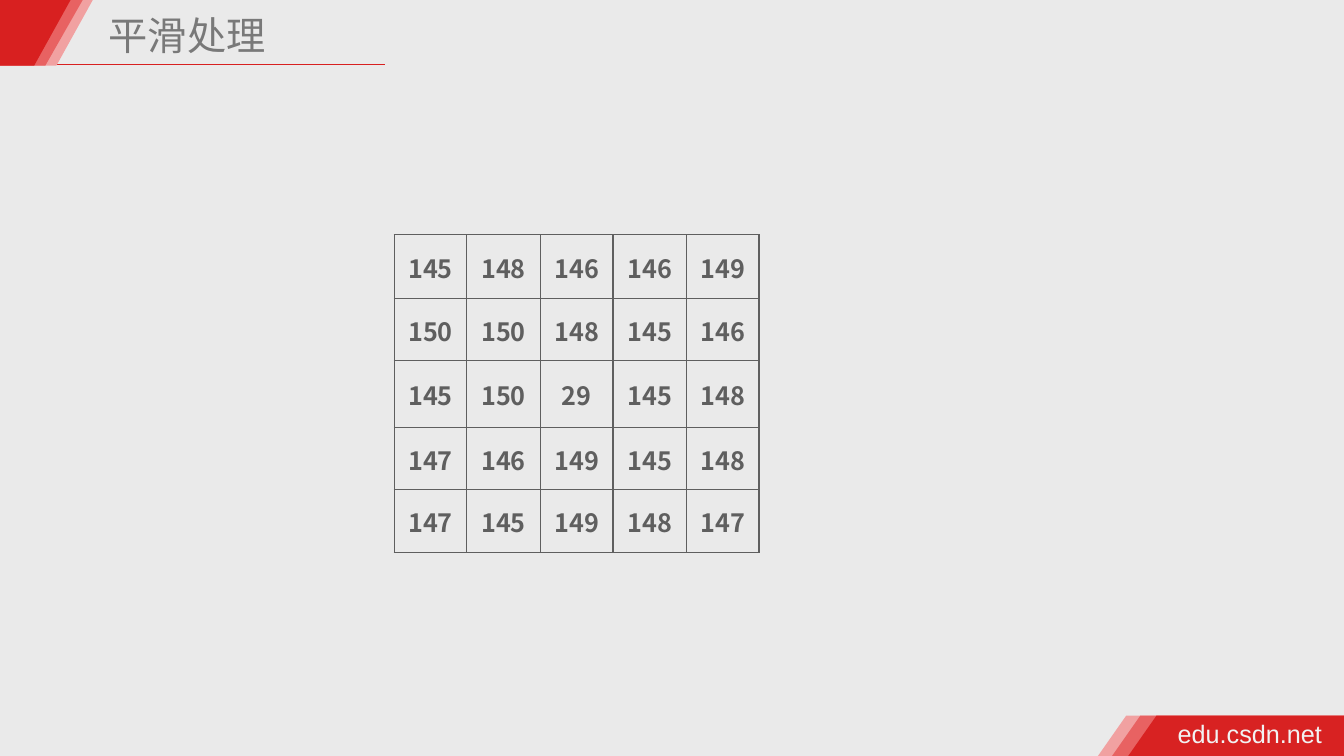
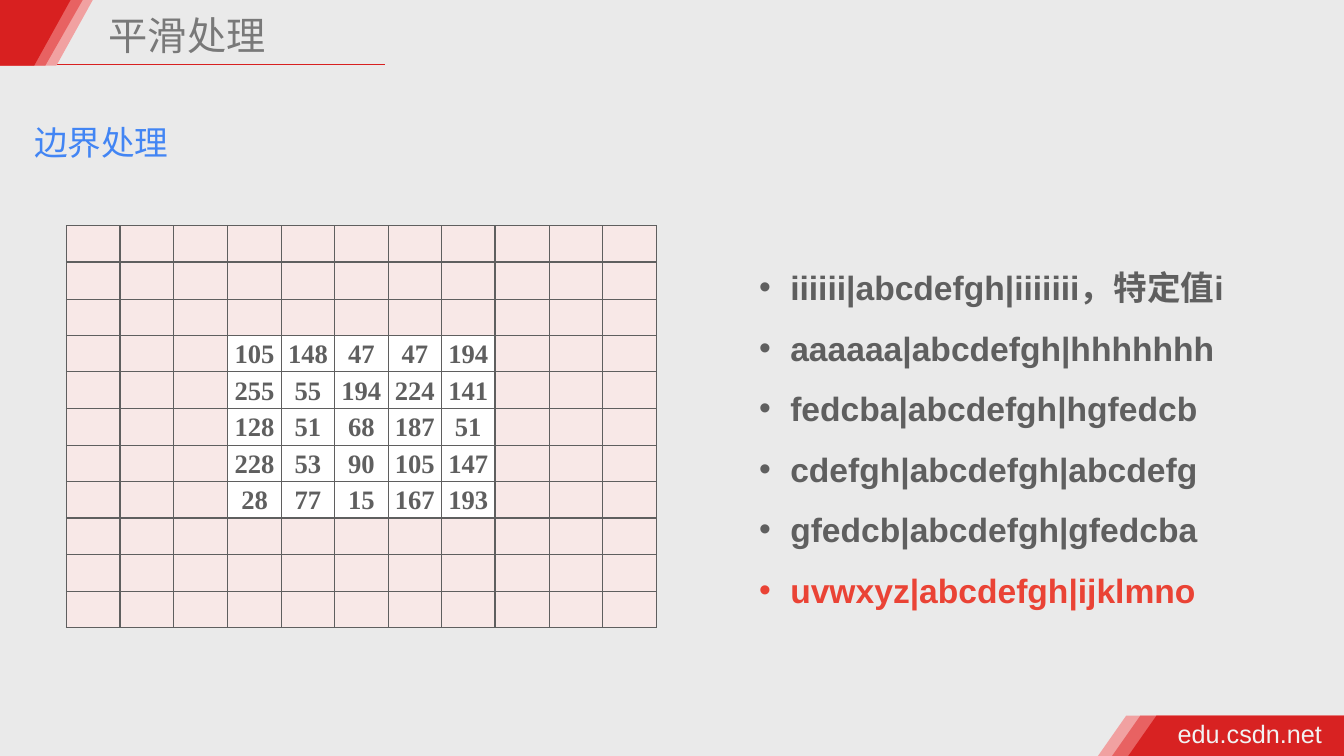
from dataclasses import dataclass

from lxml import etree
from pptx import Presentation
from pptx.dml.color import RGBColor
from pptx.enum.shapes import MSO_CONNECTOR
from pptx.enum.text import MSO_ANCHOR, MSO_AUTO_SIZE, PP_ALIGN
from pptx.oxml.ns import qn
from pptx.slide import Slide
from pptx.util import Emu, Pt

STRAIGHT = MSO_CONNECTOR.STRAIGHT
MIDDLE = MSO_ANCHOR.MIDDLE
FIT_TEXT = MSO_AUTO_SIZE.SHAPE_TO_FIT_TEXT
CENTER = PP_ALIGN.CENTER

EMU_PER_PX = 9144  # 100 px to the inch
SLIDE_WIDTH, SLIDE_HEIGHT = 1333, 750


@dataclass(frozen=True)
class Theme:
    background: str = "EAEAEA"
    red: str = "D82020"
    coral: str = "E86262"
    pink: str = "F1A1A1"
    title: str = "797979"
    body: str = "5F5F5F"
    footer: str = "F2F2F2"
    heading: str = "4285F4"
    highlight: str = "EA4335"
    padding: str = "F8E8E7"
    pixel: str = "FFFFFF"
    cjk_font: str = "Noto Sans CJK SC"
    latin_font: str = "Arial"
    number_font: str = "Times New Roman"
    title_size: int = 28
    body_size: int = 24
    small_size: int = 18
    number_size: int = 19
    line_width: int = 1


THEME = Theme()


@dataclass(frozen=True)
class TextStyle:
    size: int
    color: str
    font: str = THEME.cjk_font
    bold: bool = False


@dataclass(frozen=True)
class Box:
    left: int
    top: int
    width: int
    height: int


@dataclass(frozen=True)
class Band:
    """A slanted band; top and bottom are the x positions of its slanted edge."""
    color: str
    top: int
    bottom: int
    opacity: int = 100


@dataclass(frozen=True)
class Line:
    text: str
    style: TextStyle
    bullet: bool = False


@dataclass(frozen=True)
class Grid:
    box: Box
    rows: list[list[str]]
    row_heights: list[int]
    style: TextStyle
    inset: int
    value_fill: str | None = None
    empty_fill: str | None = None


TITLE_STYLE = TextStyle(THEME.title_size, THEME.title)
FOOTER_STYLE = TextStyle(THEME.small_size, THEME.footer, THEME.latin_font)
HEADING_STYLE = TextStyle(THEME.body_size, THEME.heading)
BULLET_STYLE = TextStyle(THEME.body_size, THEME.body, THEME.latin_font, True)
HIGHLIGHT_STYLE = TextStyle(THEME.body_size, THEME.highlight, THEME.latin_font, True)
SAMPLE_STYLE = TextStyle(THEME.small_size, THEME.body, bold=True)
NUMBER_STYLE = TextStyle(THEME.number_size, THEME.body, THEME.number_font, True)

HEADER_HEIGHT, FOOTER_TOP = 65, 710
HEADER_BANDS = [
    Band(THEME.pink, 92, 56),
    Band(THEME.coral, 82, 45),
    Band(THEME.red, 70, 34),
]
FOOTER_BANDS = [
    Band(THEME.pink, 1117, 1089),
    Band(THEME.coral, 1131, 1103),
    Band(THEME.red, 1147, 1119, 97),
]

SMOOTHING_SAMPLE = [
    ["145", "148", "146", "146", "149"],
    ["150", "150", "148", "145", "146"],
    ["145", "150", "29", "145", "148"],
    ["147", "146", "149", "145", "148"],
    ["147", "145", "149", "148", "147"],
]
IMAGE_PIXELS = [
    ["105", "148", "47", "47", "194"],
    ["255", "55", "194", "224", "141"],
    ["128", "51", "68", "187", "51"],
    ["228", "53", "90", "105", "147"],
    ["28", "77", "15", "167", "193"],
]
BORDER_WIDTH = 3
BORDER_MODES = [
    Line("iiiiii|abcdefgh|iiiiiii，特定值i", BULLET_STYLE, True),
    Line("aaaaaa|abcdefgh|hhhhhhh", BULLET_STYLE, True),
    Line("fedcba|abcdefgh|hgfedcb", BULLET_STYLE, True),
    Line("cdefgh|abcdefgh|abcdefg", BULLET_STYLE, True),
    Line("gfedcb|abcdefgh|gfedcba", BULLET_STYLE, True),
    Line("uvwxyz|abcdefgh|ijklmno", HIGHLIGHT_STYLE, True),
]


def px(length: int) -> Emu:
    return Emu(length * EMU_PER_PX)


def place(box: Box) -> tuple[Emu, Emu, Emu, Emu]:
    return px(box.left), px(box.top), px(box.width), px(box.height)


def split(total: int, count: int) -> list[int]:
    """Divide a length into whole parts that add up to it."""
    edges = [round(index * total / count) for index in range(count + 1)]
    return [end - start for start, end in zip(edges, edges[1:])]


def pad(pixels: list[list[str]], margin: int) -> list[list[str]]:
    """Surround the pixels with empty cells."""
    side = [""] * margin
    middle = [side + row + side for row in pixels]
    blank = [[""] * len(middle[0])] * margin
    return blank + middle + blank


def add_run(paragraph, text: str, style: TextStyle) -> None:
    run = paragraph.add_run()
    run.text = text
    run.font.size = Pt(style.size)
    run.font.bold = style.bold
    run.font.color.rgb = RGBColor.from_string(style.color)
    run.font.name = style.font
    east_asian = etree.Element(qn("a:ea"), typeface=THEME.cjk_font)
    run.font._element.find(qn("a:latin")).addnext(east_asian)


def add_bullet(paragraph, indent: int) -> None:
    properties = paragraph._p.get_or_add_pPr()
    properties.set("marL", str(px(indent)))
    properties.set("indent", str(px(-indent)))
    etree.SubElement(properties, qn("a:buFont"), typeface=THEME.latin_font)
    etree.SubElement(properties, qn("a:buChar"), char="•")


def add_text(slide: Slide, box: Box, lines: list[Line], spacing: float = 1.0,
             side_inset: int = 10, wrap: bool = True) -> None:
    frame = slide.shapes.add_textbox(*place(box)).text_frame
    frame.word_wrap = wrap
    frame.auto_size = FIT_TEXT
    frame.margin_left = frame.margin_right = px(side_inset)
    frame.margin_top = frame.margin_bottom = px(5)
    for index, line in enumerate(lines):
        paragraph = frame.add_paragraph() if index else frame.paragraphs[0]
        if line.bullet:
            add_bullet(paragraph, 31)
        paragraph.line_spacing = spacing
        add_run(paragraph, line.text, line.style)


def add_band(slide: Slide, band: Band, edge: int, top: int, bottom: int) -> None:
    """Fill from a vertical slide edge to the slanted edge of the band."""
    builder = slide.shapes.build_freeform(edge, top, scale=EMU_PER_PX)
    builder.add_line_segments([(band.top, top), (band.bottom, bottom), (edge, bottom)])
    shape = builder.convert_to_shape()
    shape.shadow.inherit = False
    shape.line.fill.background()
    shape.fill.solid()
    shape.fill.fore_color.rgb = RGBColor.from_string(band.color)
    if band.opacity < 100:
        color = shape._element.spPr.find(f"{qn('a:solidFill')}/{qn('a:srgbClr')}")
        etree.SubElement(color, qn("a:alpha"), val=str(band.opacity * 1000))


def add_title_rule(slide: Slide) -> None:
    rule = slide.shapes.add_connector(STRAIGHT, px(49), px(64), px(382), px(64))
    rule.line.color.rgb = RGBColor.from_string(THEME.red)
    rule.line.width = Pt(THEME.line_width)
    etree.SubElement(rule._element.spPr, qn("a:effectLst"))


def add_cell_borders(cell) -> None:
    properties = cell._tc.get_or_add_tcPr()
    for index, side in enumerate(("lnL", "lnR", "lnT", "lnB")):
        border = etree.Element(qn(f"a:{side}"), w=str(Pt(THEME.line_width)))
        fill = etree.SubElement(border, qn("a:solidFill"))
        etree.SubElement(fill, qn("a:srgbClr"), val=THEME.body)
        properties.insert(index, border)


def fill_cell(cell, text: str, grid: Grid) -> None:
    cell.vertical_anchor = MIDDLE
    cell.margin_left = cell.margin_right = cell.margin_top = px(grid.inset)
    cell.margin_bottom = 0
    color = grid.value_fill if text else grid.empty_fill
    if color:
        cell.fill.solid()
        cell.fill.fore_color.rgb = RGBColor.from_string(color)
    else:
        cell.fill.background()
    add_cell_borders(cell)
    if text:
        paragraph = cell.text_frame.paragraphs[0]
        paragraph.alignment = CENTER
        add_run(paragraph, text, grid.style)


def add_grid(slide: Slide, grid: Grid) -> None:
    column_count = len(grid.rows[0])
    table = slide.shapes.add_table(len(grid.rows), column_count, *place(grid.box)).table
    table.first_row = table.horz_banding = False
    for column, width in zip(table.columns, split(grid.box.width, column_count)):
        column.width = px(width)
    for row, height, values in zip(table.rows, grid.row_heights, grid.rows):
        row.height = px(height)
        for cell, text in zip(row.cells, values):
            fill_cell(cell, text, grid)


def add_slide(presentation, title: str) -> Slide:
    """Add a slide with the shared background, bands, footer and title."""
    slide = presentation.slides.add_slide(presentation.slide_layouts[6])
    slide.background.fill.solid()
    slide.background.fill.fore_color.rgb = RGBColor.from_string(THEME.background)
    add_title_rule(slide)
    for band in FOOTER_BANDS:
        add_band(slide, band, SLIDE_WIDTH, FOOTER_TOP, SLIDE_HEIGHT)
    add_text(slide, Box(1163, 708, 155, 40), [Line("edu.csdn.net", FOOTER_STYLE)],
             side_inset=5, wrap=False)
    for band in HEADER_BANDS:
        add_band(slide, band, 0, 0, HEADER_HEIGHT)
    add_text(slide, Box(103, 12, 436, 53), [Line(title, TITLE_STYLE)],
             spacing=0.9, side_inset=5)
    return slide


def add_sample_slide(presentation) -> None:
    slide = add_slide(presentation, "平滑处理")
    add_grid(slide, Grid(Box(391, 233, 362, 315), SMOOTHING_SAMPLE,
                         [63, 62, 66, 62, 62], SAMPLE_STYLE, inset=1))


def add_border_slide(presentation) -> None:
    slide = add_slide(presentation, "平滑处理")
    add_text(slide, Box(24, 96, 275, 64), [Line("边界处理", HEADING_STYLE)], spacing=1.5)
    add_text(slide, Box(743, 240, 525, 366), BORDER_MODES, spacing=1.5)
    box = Box(66, 224, 585, 399)
    rows = pad(IMAGE_PIXELS, BORDER_WIDTH)
    add_grid(slide, Grid(box, rows, split(box.height, len(rows)), NUMBER_STYLE,
                         inset=2, value_fill=THEME.pixel, empty_fill=THEME.padding))


def main() -> None:
    presentation = Presentation()
    presentation.slide_width = px(SLIDE_WIDTH)
    presentation.slide_height = px(SLIDE_HEIGHT)
    add_sample_slide(presentation)
    add_border_slide(presentation)
    presentation.save("out.pptx")


if __name__ == "__main__":
    main()
